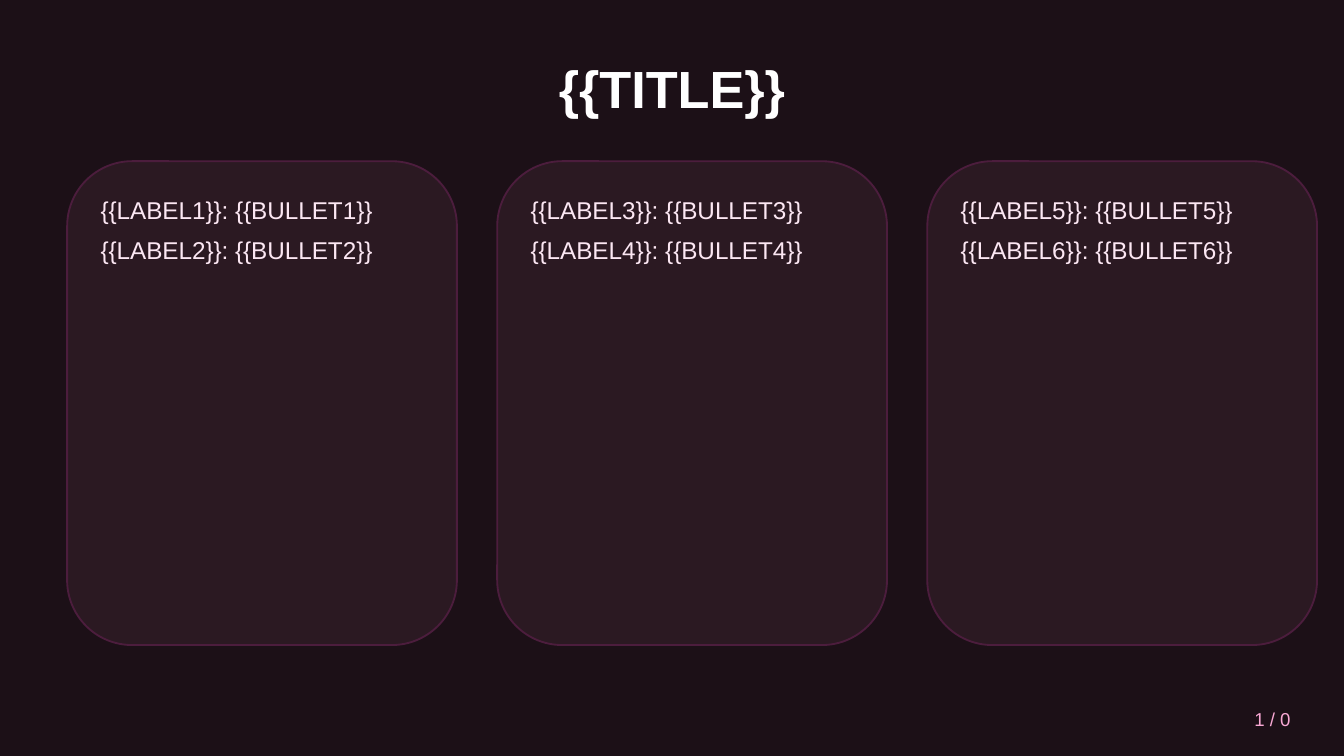
from dataclasses import dataclass

import lxml.etree
import pptx
import pptx.dml.color
import pptx.enum.shapes
import pptx.enum.text
import pptx.oxml.ns
import pptx.util

COLORS = {
    "background": "1C1017",
    "card": "2D1A24",
    "border": "4C1D3D",
    "title": "FFFFFF",
    "body": "FCE7F3",
    "page_number": "F9A8D4",
}
ALIGN = pptx.enum.text.PP_ALIGN
ANCHOR = pptx.enum.text.MSO_ANCHOR
SLIDE_WIDTH = pptx.util.Inches(10)
SLIDE_HEIGHT = SLIDE_WIDTH * 9 // 16
GRID_COLUMNS = 100
CELL = SLIDE_WIDTH / GRID_COLUMNS
CARD_COUNT = 3
CARD_PITCH = 32
CARD_OPACITY = 90


@dataclass(frozen=True)
class Area:
    column: float
    row: float
    columns: float
    rows: float

    def inset(self, across: float, down: float) -> "Area":
        return Area(self.column + across, self.row + down,
                    self.columns - 2 * across, self.rows - 2 * down)

    def lengths(self) -> list[int]:
        return [round(cells * CELL)
                for cells in (self.column, self.row, self.columns, self.rows)]


@dataclass(frozen=True)
class Style:
    color: str
    size: float
    bold: bool = False
    align: ALIGN = ALIGN.LEFT
    anchor: ANCHOR = ANCHOR.TOP
    space_after: float = 0


TITLE = Style("title", 28, True, ALIGN.CENTER, ANCHOR.MIDDLE)
BODY = Style("body", 13, space_after=6)
PAGE_NUMBER = Style("page_number", 10, align=ALIGN.RIGHT, anchor=ANCHOR.MIDDLE)


def rgb(name: str) -> pptx.dml.color.RGBColor:
    return pptx.dml.color.RGBColor.from_string(COLORS[name])


def draw_text(page, area: Area, lines: list[str], style: Style) -> None:
    box = page.shapes.add_textbox(*area.lengths())
    frame = box.text_frame
    frame.word_wrap = True
    frame.vertical_anchor = style.anchor
    frame.text = "\n".join(lines)
    for para in frame.paragraphs:
        para.alignment = style.align
        para.space_after = pptx.util.Pt(style.space_after)
        para.font.name = "Arial"
        para.font.size = pptx.util.Pt(style.size)
        para.font.bold = style.bold
        para.font.color.rgb = rgb(style.color)


def draw_card(page, area: Area, lines: list[str]) -> None:
    card = page.shapes.add_shape(
        pptx.enum.shapes.MSO_SHAPE.ROUNDED_RECTANGLE, *area.lengths())
    card.shadow.inherit = False
    card.fill.solid()
    card.fill.fore_color.rgb = rgb("card")
    color = card.fill._xPr.find(".//" + pptx.oxml.ns.qn("a:srgbClr"))
    lxml.etree.SubElement(color, pptx.oxml.ns.qn("a:alpha"),
                          val=str(CARD_OPACITY * 1000))
    card.line.color.rgb = rgb("border")
    card.line.width = pptx.util.Pt(1)
    draw_text(page, area.inset(1.5, 2), lines, BODY)


def main() -> None:
    deck = pptx.Presentation()
    deck.slide_width = SLIDE_WIDTH
    deck.slide_height = SLIDE_HEIGHT
    page = deck.slides.add_slide(deck.slide_layouts[6])
    page.background.fill.solid()
    page.background.fill.fore_color.rgb = rgb("background")

    draw_text(page, Area(5, 3, 90, 7), ["{{TITLE}}"], TITLE)
    for index in range(CARD_COUNT):
        first = 2 * index + 1
        lines = [f"{{{{LABEL{number}}}}}: {{{{BULLET{number}}}}}"
                 for number in (first, first + 1)]
        draw_card(page, Area(5 + index * CARD_PITCH, 12, 29, 36), lines)
    draw_text(page, Area(85, 52, 12, 3), ["1 / 0"], PAGE_NUMBER)

    deck.save("out.pptx")


if __name__ == "__main__":
    main()
